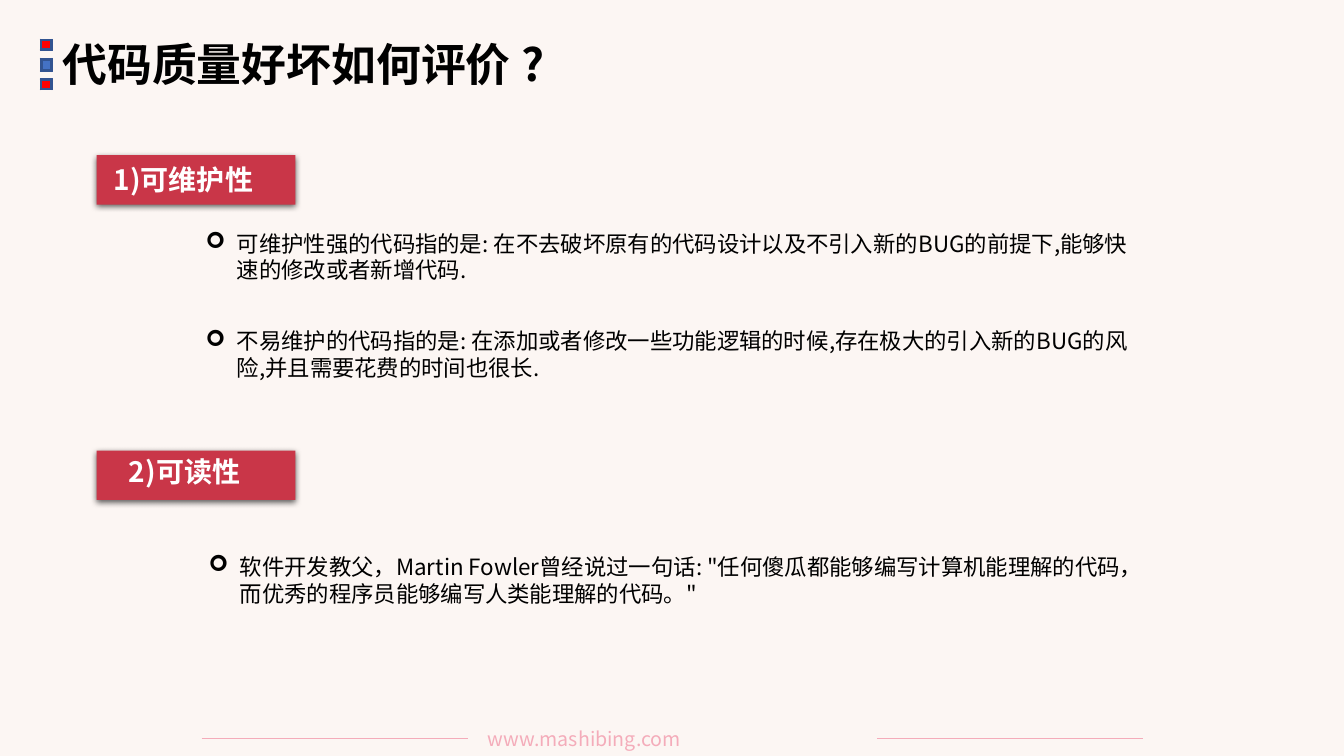
from lxml import etree
from pptx import Presentation
from pptx.dml.color import RGBColor
from pptx.enum.shapes import MSO_CONNECTOR, MSO_SHAPE
from pptx.enum.text import MSO_ANCHOR, MSO_AUTO_SIZE, PP_ALIGN
from pptx.oxml.ns import qn
from pptx.util import Inches, Pt

RECTANGLE, BEVEL = MSO_SHAPE.RECTANGLE, MSO_SHAPE.BEVEL
STRAIGHT = MSO_CONNECTOR.STRAIGHT
TOP, MIDDLE = MSO_ANCHOR.TOP, MSO_ANCHOR.MIDDLE
LEFT, JUSTIFY = PP_ALIGN.LEFT, PP_ALIGN.JUSTIFY
NO_AUTOSIZE = MSO_AUTO_SIZE.NONE

FONT = "Noto Sans CJK SC"
CREAM, CRIMSON, PINK = "FCF6F3", "C93648", "F4ACBA"
RED, BLUE, NAVY = "FF0000", "4472C4", "325491"
BLACK, WHITE = "000000", "FFFFFF"
TITLE_ONLY = 5


def rgb(value):
    return RGBColor.from_string(value)


def add_bullet(paragraph, symbol, indent):
    properties = paragraph._p.get_or_add_pPr()
    properties.set("marL", str(Inches(indent)))
    properties.set("indent", str(-Inches(indent)))
    etree.SubElement(properties, qn("a:buFont"), typeface="Wingdings")
    etree.SubElement(properties, qn("a:buChar"), char=symbol)


def write(frame, text, size, color, bold=False, align=LEFT, anchor=TOP, bullet=None):
    frame.word_wrap = True
    frame.auto_size = NO_AUTOSIZE
    frame.vertical_anchor = anchor
    paragraph = frame.paragraphs[0]
    paragraph.text = text
    paragraph.alignment = align
    if bullet:
        add_bullet(paragraph, bullet, 0.31)
    font = paragraph.font
    font.size, font.bold = Pt(size), bold
    font.color.rgb = rgb(color)
    font.name = FONT
    # East Asian characters take their own typeface
    defaults = paragraph._p.pPr.find(qn("a:defRPr"))
    etree.SubElement(defaults, qn("a:ea"), typeface=FONT)


def add_text(slide, box, text, size, color, **style):
    frame = slide.shapes.add_textbox(*map(Inches, box)).text_frame
    write(frame, text, size, color, **style)


def add_block(slide, kind, box, fill, line=None):
    block = slide.shapes.add_shape(kind, *map(Inches, box))
    block.shadow.inherit = False
    block.fill.solid()
    block.fill.fore_color.rgb = rgb(fill)
    if line:
        block.line.color.rgb = rgb(line)
        block.line.width = Pt(1)
    else:
        block.line.fill.background()
    return block


def add_drop_shadow(block):
    effects = block._element.spPr.find(qn("a:effectLst"))
    shadow = etree.SubElement(effects, qn("a:outerShdw"), blurRad=str(Pt(4.5)),
                              dist=str(Pt(1.5)), dir="5400000", algn="t", rotWithShape="0")
    color = etree.SubElement(shadow, qn("a:srgbClr"), val=BLACK)
    etree.SubElement(color, qn("a:alpha"), val="63000")


def add_footer(slide, left, top, width):
    # Two rules of equal length with the address between them
    rule = 2.64
    for start in (left, left + width - rule):
        line = slide.shapes.add_connector(
            STRAIGHT, Inches(start), Inches(top), Inches(start + rule), Inches(top))
        line.line.color.rgb = rgb(PINK)
        line.line.width = Pt(0.5)
        etree.SubElement(line._element.spPr, qn("a:effectLst"))
    add_text(slide, (left + 2.74, top - 0.17, 3.85, 0.34), "www.mashibing.com",
             14, PINK, align=JUSTIFY)


def add_title(slide, left, top, width, height):
    title = slide.shapes.title
    title.left, title.top = Inches(left + 0.12), Inches(top)
    title.width, title.height = Inches(width - 0.12), Inches(height)
    write(title.text_frame, "代码质量好坏如何评价 ?", 32, BLACK, bold=True, anchor=MIDDLE)
    # Column of bevelled squares beside the title
    for offset, size, fill in ((0.08, 0.11, RED), (0.27, 0.13, BLUE), (0.47, 0.11, RED)):
        add_block(slide, BEVEL, (left, top + offset, 0.12, size), fill, NAVY)


def add_section(slide, left, top, heading, heading_offset, points):
    # Heading badge
    add_drop_shadow(add_block(slide, RECTANGLE, (left, top, 1.97, 0.49), CRIMSON))
    dx, dy = heading_offset
    add_text(slide, (left + dx, top + dy, 2.34, 0.44), heading, 20, WHITE, bold=True)
    # Points under the badge
    for (x, y, width), text in points:
        add_text(slide, (left + x, top + y, width, 0.64), text, 16, BLACK, bullet="➢")


def main():
    presentation = Presentation()
    presentation.slide_width, presentation.slide_height = Inches(13.33), Inches(7.5)
    slide = presentation.slides.add_slide(presentation.slide_layouts[TITLE_ONLY])
    slide.background.fill.solid()
    slide.background.fill.fore_color.rgb = rgb(CREAM)

    add_footer(slide, 2, 7.33, 9.34)
    add_title(slide, 0.4, 0.31, 5.47, 0.64)
    add_section(slide, 0.96, 1.54, "1)可维护性", (0.07, 0.02), [
        ((0.98, 0.69, 9.41), "可维护性强的代码指的是: 在不去破坏原有的代码设计以及不引入新的BUG的前提下,"
                             "能够快速的修改或者新增代码."),
        ((0.98, 1.66, 9.41), "不易维护的代码指的是: 在添加或者修改一些功能逻辑的时候,"
                             "存在极大的引入新的BUG的风险,并且需要花费的时间也很长."),
    ])
    add_section(slide, 0.96, 4.47, "2)可读性", (0.22, -0.01), [
        ((1.01, 0.97, 9.59), "软件开发教父，Martin Fowler曾经说过一句话: \"任何傻瓜都能够编写计算机能理解的代码，"
                             "而优秀的程序员能够编写人类能理解的代码。\""),
    ])
    presentation.save("out.pptx")


if __name__ == "__main__":
    main()
